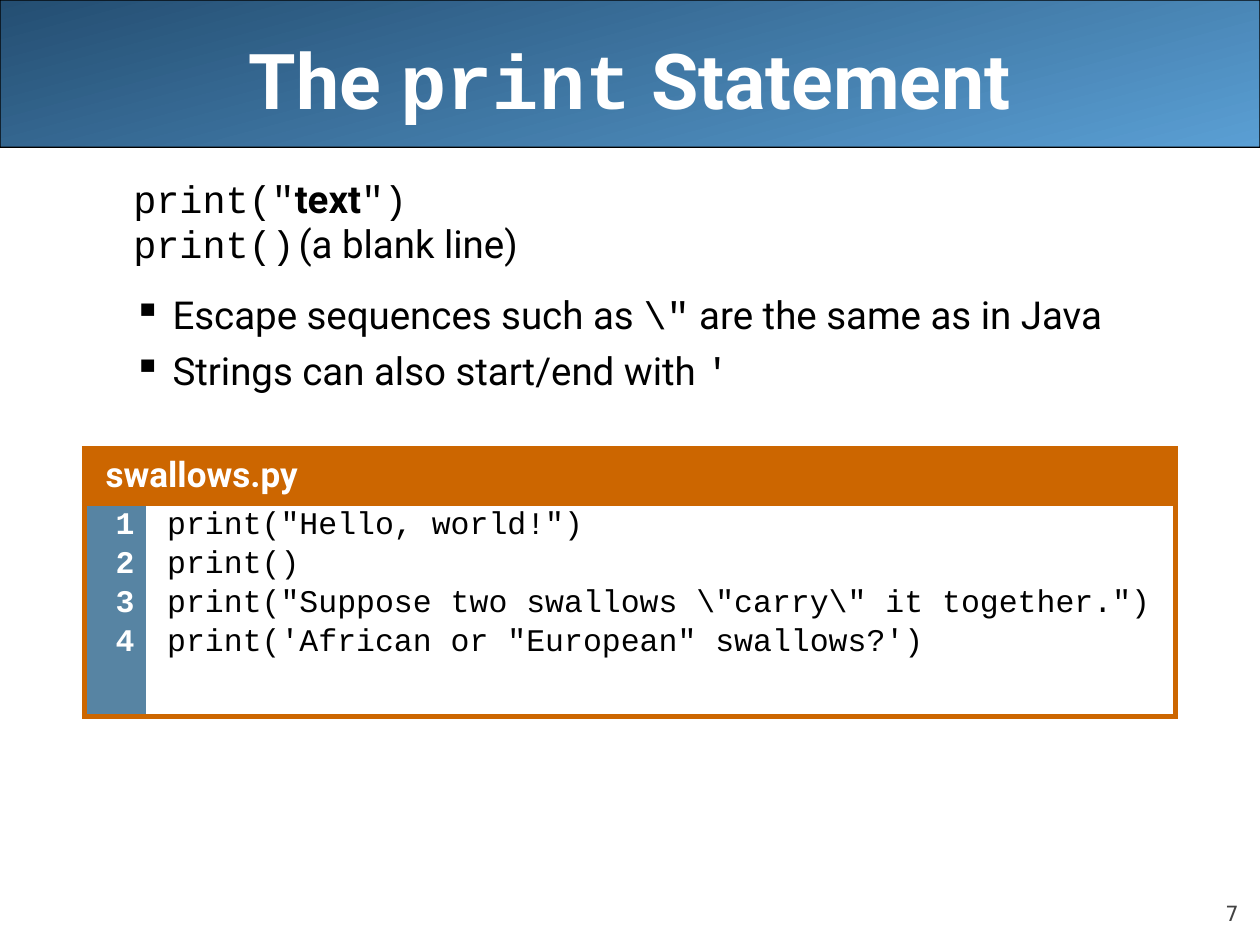
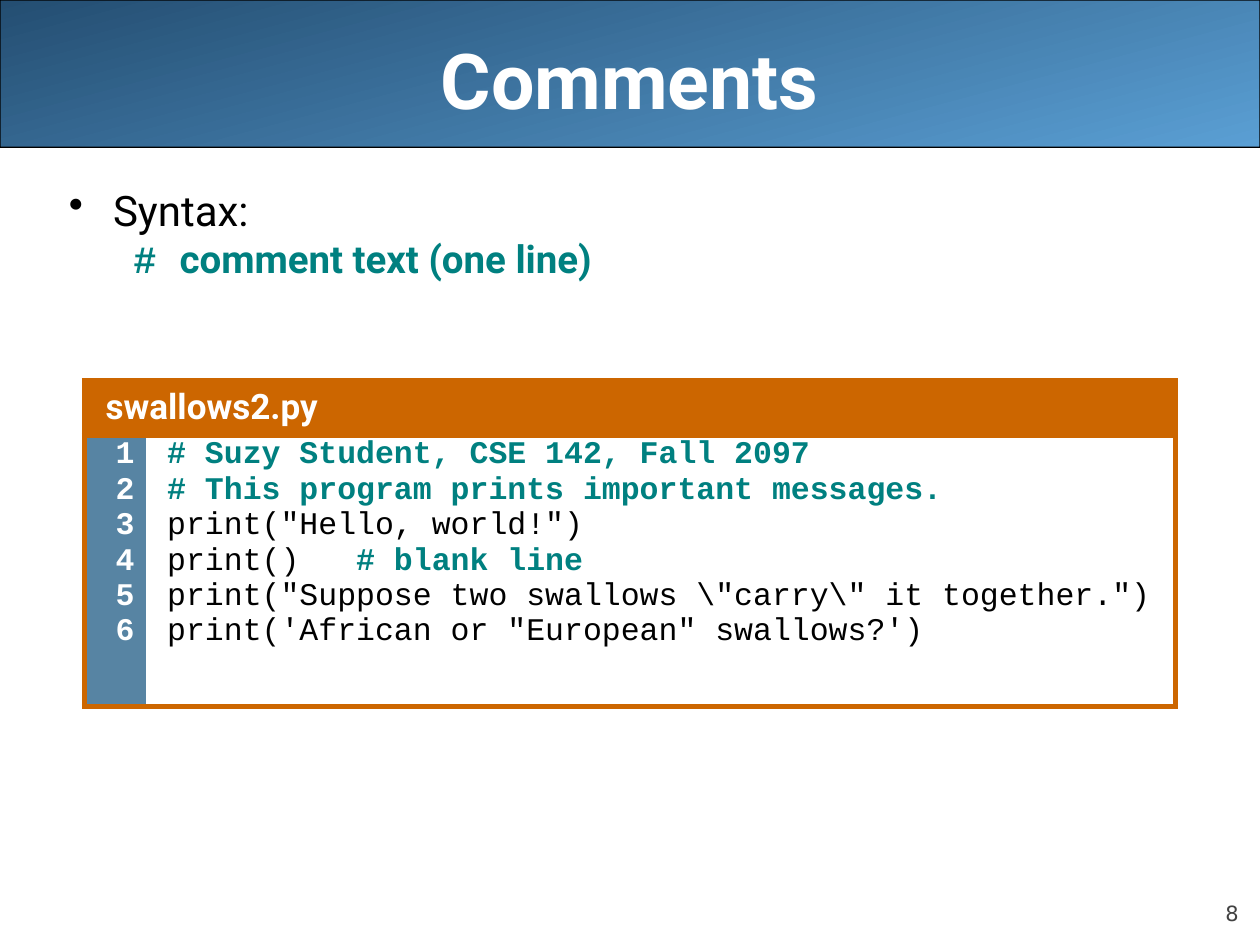
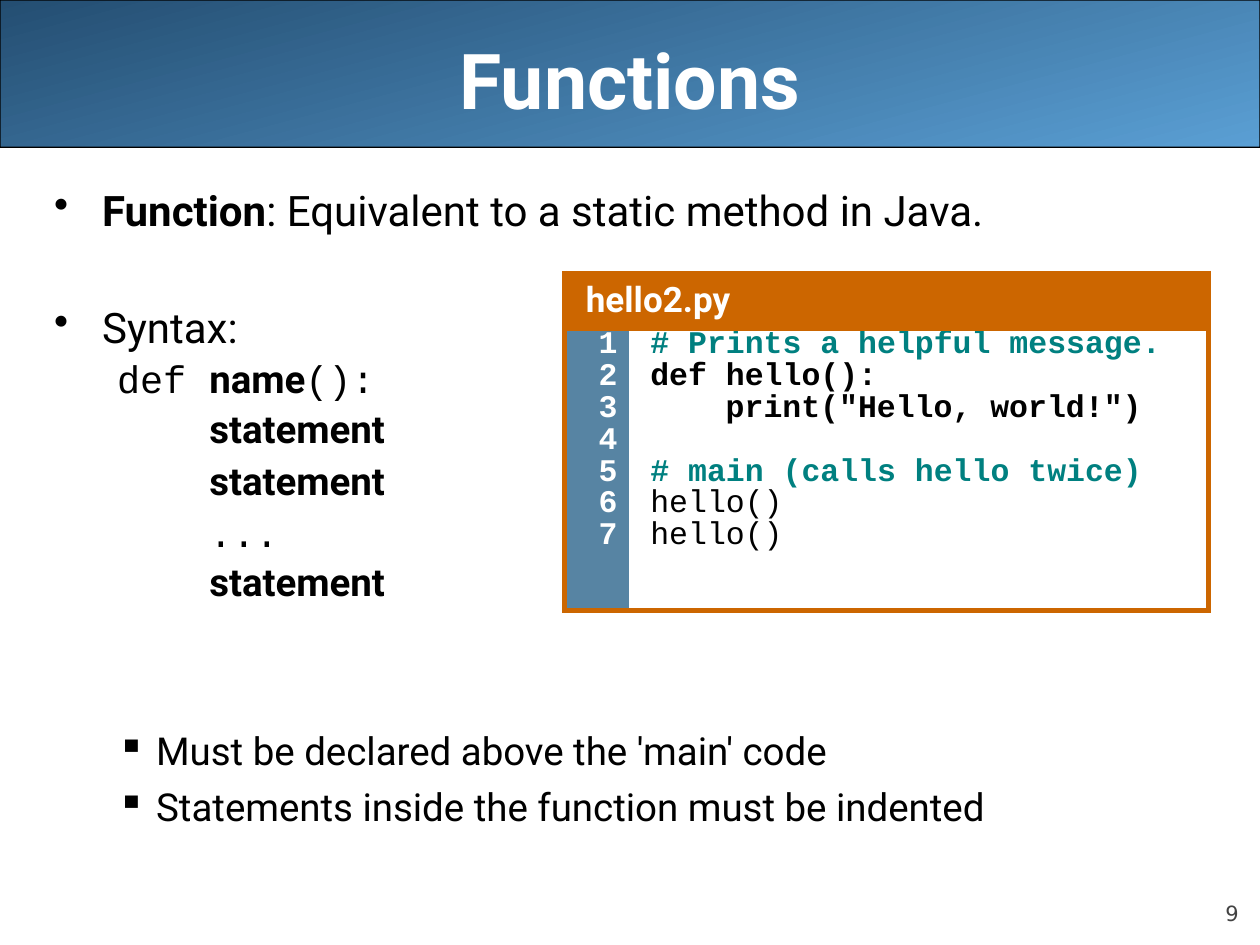
import dataclasses

import lxml.etree
import pptx
import pptx.dml.color
import pptx.enum.shapes
import pptx.enum.text
import pptx.oxml.ns
import pptx.util

Cm = pptx.util.Cm
Pt = pptx.util.Pt
qn = pptx.oxml.ns.qn
ALIGN = pptx.enum.text.PP_ALIGN
ANCHOR = pptx.enum.text.MSO_ANCHOR


@dataclasses.dataclass(frozen=True)
class Style:
    """Look of one run of text."""
    font: str
    size: float
    color: str
    bold: bool = False


@dataclasses.dataclass(frozen=True)
class Theme:
    """Colours and type styles shared by all slides."""
    band_dark: str = "244E72"
    band_light: str = "5A9FD4"
    black: str = "000000"
    white: str = "FFFFFF"
    frame: str = "CC6600"
    gutter: str = "5784A3"
    title: Style = Style("Roboto", 44, "FFFFFF", True)
    title_code: Style = Style("Courier New", 44, "FFFFFF", True)
    page: Style = Style("DejaVu Sans", 12, "424242")
    lead: Style = Style("Roboto", 24, "000000")
    lead_bold: Style = Style("Roboto", 24, "000000", True)
    text: Style = Style("Roboto", 22, "000000")
    strong: Style = Style("Roboto", 22, "000000", True)
    mono: Style = Style("Courier New", 22, "000000")
    note: Style = Style("Roboto", 22, "008080", True)
    note_mono: Style = Style("Courier New", 22, "008080", True)
    file_name: Style = Style("Roboto", 20, "FFFFFF", True)
    line_number: Style = Style("Courier New", 18, "FFFFFF", True)
    code: Style = Style("Courier New", 18, "000000")
    code_bold: Style = Style("Courier New", 18, "000000", True)
    comment: Style = Style("Courier New", 18, "008080", True)


THEME = Theme()


@dataclasses.dataclass(frozen=True)
class Line:
    """One paragraph: its runs and its layout, with lengths in centimetres."""
    runs: tuple
    margin: float = 0
    indent: float = 0
    spacing: float = 1.0
    before: float = 0
    bullet: str = ""
    tabs: tuple = ()
    align: object = ALIGN.LEFT


def rgb(value):
    """Turn a hex string into a colour."""
    return pptx.dml.color.RGBColor.from_string(value)


def write_lines(text_frame, lines):
    """Fill a text frame with paragraphs."""
    for index, line in enumerate(lines):
        paragraph = text_frame.add_paragraph() if index else text_frame.paragraphs[0]
        paragraph.alignment = line.align
        paragraph.line_spacing = line.spacing
        paragraph.space_before = Pt(line.before)
        properties = paragraph._p.get_or_add_pPr()
        properties.set("marL", str(Cm(line.margin)))
        properties.set("indent", str(Cm(line.indent)))
        if line.bullet:
            lxml.etree.SubElement(properties, qn("a:buChar"), char=line.bullet)
        if line.tabs:
            tab_list = lxml.etree.SubElement(properties, qn("a:tabLst"))
            for position in line.tabs:
                lxml.etree.SubElement(tab_list, qn("a:tab"), pos=str(Cm(position)), algn="l")
        for text, style in line.runs:
            run = paragraph.add_run()
            run.text = text
            run.font.name = style.font
            run.font.size = Pt(style.size)
            run.font.bold = style.bold
            run.font.color.rgb = rgb(style.color)


def text_box(slide, box, lines, anchor=ANCHOR.TOP):
    """Place a wrapping text box and return its frame."""
    text_frame = slide.shapes.add_textbox(*map(Cm, box)).text_frame
    text_frame.word_wrap = True
    text_frame.vertical_anchor = anchor
    write_lines(text_frame, lines)
    return text_frame


def title_band(slide, box, title_runs):
    """Draw the gradient band and the title centred on it."""
    left, top, width, height = box
    band = slide.shapes.add_shape(
        pptx.enum.shapes.MSO_SHAPE.ROUNDED_RECTANGLE, *map(Cm, box))
    band.adjustments[0] = 0.001
    band.shadow.inherit = False
    band.fill.gradient()
    band.fill.gradient_angle = 285
    for stop, color in zip(band.fill.gradient_stops, (THEME.band_dark, THEME.band_light)):
        stop.color.rgb = rgb(color)
    band.line.color.rgb = rgb(THEME.black)
    band.line.width = Pt(0.75)
    title_box = (left + 1.27, top, width - 2.54, height + 0.21)
    text_box(slide, title_box, [Line(title_runs, align=ALIGN.CENTER)], ANCHOR.MIDDLE)


def page_number(slide, box, number):
    """Write the slide number into the bottom right corner."""
    line = Line(((str(number), THEME.page),), before=5, align=ALIGN.RIGHT)
    text_frame = text_box(slide, box, [line], ANCHOR.BOTTOM)
    text_frame.margin_left = text_frame.margin_right = 0
    text_frame.margin_top = text_frame.margin_bottom = 0


def format_cell(cell, color, sides, margins, lines):
    """Give a table cell its borders, fill, margins and text."""
    properties = cell._tc.get_or_add_tcPr()
    for side in "LRTB":
        border = lxml.etree.SubElement(properties, qn(f"a:ln{side}"), w=str(Pt(3)))
        if side in sides:
            fill = lxml.etree.SubElement(border, qn("a:solidFill"))
            lxml.etree.SubElement(fill, qn("a:srgbClr"), val=THEME.frame)
        else:
            lxml.etree.SubElement(border, qn("a:noFill"))
    cell.fill.solid()
    cell.fill.fore_color.rgb = rgb(color)
    cell.margin_left, cell.margin_right = map(Cm, margins)
    cell.margin_top = cell.margin_bottom = Cm(0.13)
    write_lines(cell.text_frame, lines)


def code_table(slide, box, gutter_width, file_name, count, spacing, code_lines):
    """Draw a listing with a file name header and numbered lines."""
    header_height = 1.07
    left, top, width, height = box
    table = slide.shapes.add_table(2, 2, *map(Cm, box)).table
    table.first_row = table.horz_banding = False
    table.columns[0].width = Cm(gutter_width)
    table.columns[1].width = Cm(width - gutter_width)
    table.rows[0].height = Cm(header_height)
    table.rows[1].height = Cm(height - header_height)
    table.cell(0, 0).merge(table.cell(0, 1))
    header = Line(((file_name, THEME.file_name),), before=5)
    format_cell(table.cell(0, 0), THEME.frame, "LRTB", (0.43, 0.13), [header])
    format_cell(table.cell(0, 1), THEME.frame, "LRTB", (0.13, 0.13), [])
    numbers = [Line(((str(number), THEME.line_number),), spacing=spacing, before=4.5,
                    align=ALIGN.RIGHT) for number in range(1, count + 1)]
    format_cell(table.cell(1, 0), THEME.gutter, "LTB", (0.43, 0.23), numbers)
    spaced = [dataclasses.replace(line, spacing=spacing, before=line.before or 4.5)
              for line in code_lines]
    format_cell(table.cell(1, 1), THEME.white, "RTB", (0.43, 0.46), spaced)


def lead_line(*runs, margin, indent, before=6):
    """Make a first-level bullet."""
    return Line(runs, margin, indent, before=before, bullet="•")


def sub_line(*runs, margin, before=5.5):
    """Make a second-level bullet."""
    return Line(runs, margin, -0.79, before=before, bullet="▪")


def syntax_line(*runs, margin=2.39, spacing=0.77, before=5.5, tabs=()):
    """Make an unbulleted line that shows syntax."""
    return Line(runs, margin, -0.79, spacing, before, tabs=tabs)


def code_line(text, style=THEME.code, **layout):
    """Make one line of a listing in one style."""
    return Line(((text, style),), **layout)


def content_slide(presentation, number, title_runs, body_lines):
    """Add a slide with its band, title, page number and body text."""
    slide = presentation.slides.add_slide(presentation.slide_layouts[6])
    title_band(slide, (0, 0, 25.4, 2.97), title_runs)
    page_number(slide, (22.86, 17.65, 2.11, 1.02), number)
    text_box(slide, (0.84, 3.6, 24.13, 13.77), body_lines)
    return slide


HELLO = code_line('print("Hello, world!")')
SWALLOWS = (
    code_line(r'print("Suppose two swallows \"carry\" it together.")'),
    code_line("print('African or \"European\" swallows?')"),
)


def print_slide(presentation):
    """Build the slide on the print statement."""
    slide = content_slide(
        presentation, 7,
        (("The ", THEME.title), ("print", THEME.title_code), (" Statement", THEME.title)),
        [
            syntax_line(('print("', THEME.mono), ("text", THEME.strong), ('")', THEME.mono)),
            syntax_line(("print()\t", THEME.mono), ("(a blank line)", THEME.text),
                        tabs=(0, 8.89)),
            sub_line(("Escape sequences such as ", THEME.text), (r'\"', THEME.mono),
                     (" are the same as in Java", THEME.text), margin=2.39, before=14.7),
            sub_line(("Strings can also start/end with ", THEME.text), ("'", THEME.mono),
                     margin=2.39),
        ])
    code_table(slide, (1.7, 9.04, 22, 5.36), 1.24, "swallows.py", 4, 0.87,
               [HELLO, code_line("print()"), *SWALLOWS])


def comments_slide(presentation):
    """Build the slide on comments."""
    slide = content_slide(
        presentation, 8, (("Comments", THEME.title),),
        [
            lead_line(("Syntax:", THEME.lead), margin=1.19, indent=-0.89),
            syntax_line(("# ", THEME.note_mono), ("comment text (one line)", THEME.note)),
        ])
    code_table(slide, (1.7, 7.67, 22, 6.53), 1.24, "swallows2.py", 6, 0.77, [
        code_line("# Suzy Student, CSE 142, Fall 2097", THEME.comment),
        code_line("# This program prints important messages.", THEME.comment),
        HELLO,
        Line((("print()\t", THEME.code), ("# blank line", THEME.comment)), tabs=(9.53,)),
        *SWALLOWS,
    ])


def functions_slide(presentation):
    """Build the slide on functions."""
    level = {"margin": 2.06}
    nested = {"margin": 3.92, "spacing": 0.87}
    statement = ("statement", THEME.strong)
    slide = content_slide(
        presentation, 9, (("Functions", THEME.title),),
        [
            lead_line(("Function", THEME.lead_bold),
                      (": Equivalent to a static method in Java.", THEME.lead),
                      margin=0.97, indent=-0.97),
            lead_line(("Syntax:", THEME.lead), margin=0.97, indent=-0.97, before=38),
            syntax_line(("def ", THEME.mono), ("name", THEME.strong), ("():", THEME.mono),
                        spacing=0.87, **level),
            syntax_line(statement, **nested),
            syntax_line(statement, before=6.6, **nested),
            syntax_line(("...", THEME.mono), before=6.6, **nested),
            syntax_line(statement, **nested),
            sub_line(("Must be declared above the 'main' code", THEME.text),
                     before=70, **level),
            sub_line(("Statements inside the function must be indented", THEME.text), **level),
        ])
    code_table(slide, (11.38, 5.51, 12.98, 6.76), 1.3, "hello2.py", 7, 0.67, [
        code_line("# Prints a helpful message.", THEME.comment),
        code_line("def hello():", THEME.code_bold),
        code_line('print("Hello, world!")', THEME.code_bold, margin=1.52),
        code_line("# main (calls hello twice)", THEME.comment, before=22.7),
        code_line("hello()"),
        code_line("hello()"),
    ])


def main():
    """Build and save the presentation."""
    presentation = pptx.Presentation()
    presentation.slide_width = Cm(25.4)
    presentation.slide_height = Cm(19.05)
    print_slide(presentation)
    comments_slide(presentation)
    functions_slide(presentation)
    presentation.save("out.pptx")


if __name__ == "__main__":
    main()
